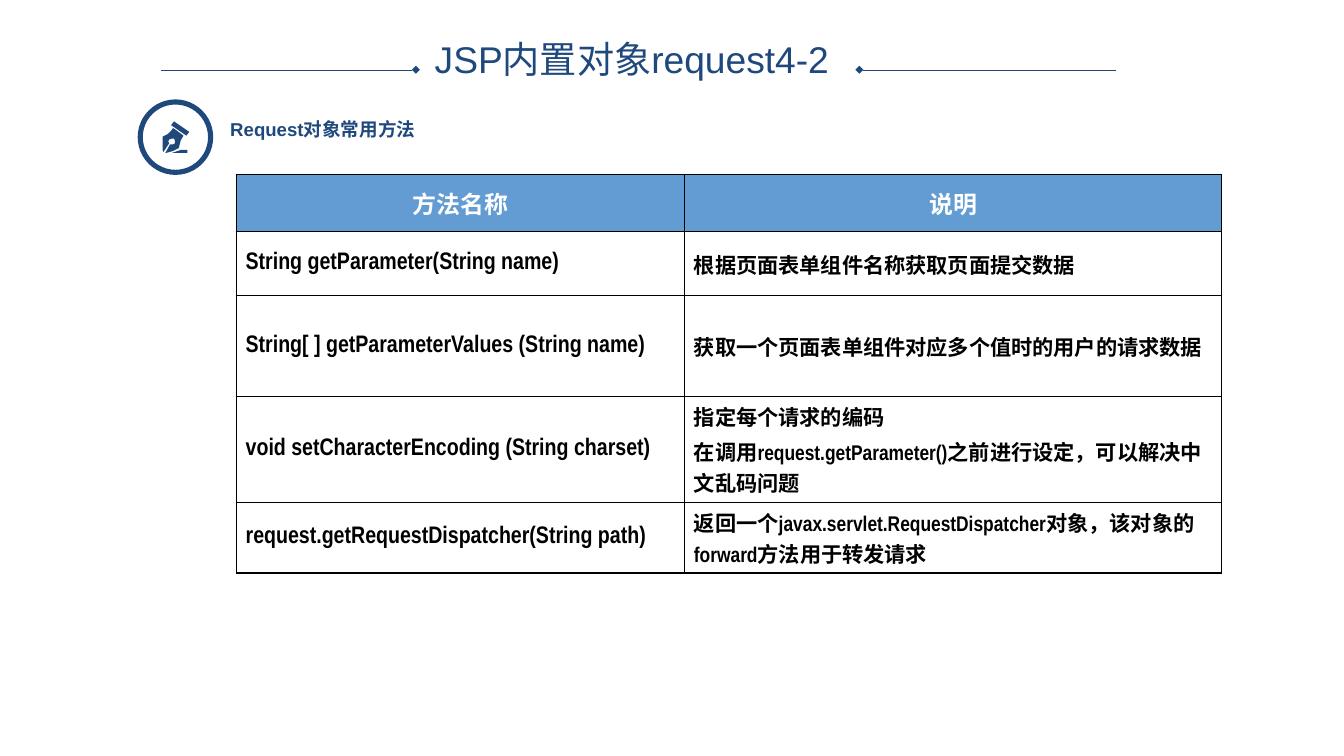
from pptx import Presentation
from pptx import util as u
from pptx.dml.color import RGBColor
from pptx.enum import shapes, text
from pptx.oxml.ns import qn
from lxml import etree

NAVY = RGBColor(0x1F, 0x49, 0x7D)
BLUE = RGBColor(0x63, 0x9C, 0xD3)
WHITE = RGBColor(0xFF, 0xFF, 0xFF)
BLACK = RGBColor(0, 0, 0)

COLUMN_WIDTHS = [4.69, 5.62]
ROW_HEIGHTS = [0.59, 0.67, 1.06, 1.06, 0.7]
METHODS = [
    ("方法名称", "说明"),
    ("String getParameter(String name)", "根据页面表单组件名称获取页面提交数据"),
    ("String[ ] getParameterValues (String name)",
     "获取一个页面表单组件对应多个值时的用户的请求数据"),
    ("void setCharacterEncoding (String charset)",
     "指定每个请求的编码\n在调用request.getParameter()之前进行设定，可以解决中文乱码问题"),
    ("request.getRequestDispatcher(String path)",
     "返回一个javax.servlet.RequestDispatcher对象，该对象的forward方法用于转发请求"),
]

# Pen icon outlines, in hundredths of an inch from the icon's corner
PEN_NIB = [(1, 32), (0, 30), (0, 16), (6, 13), (9, 10), (11, 7), (14, 9), (22, 15),
           (19, 20), (17, 28), (11, 31), (4, 33), (3, 33), (8, 24), (11, 24), (13, 23),
           (13, 20), (12, 18), (10, 17.5), (7, 19), (6, 21), (7, 23)]
PEN_STROKE = [(10, 33), (26, 33), (26, 30), (19, 30)]
PEN_CAP = [(25, 15), (28, 11), (12, 0), (9, 4)]


def style(font, size, color, name="Arial", bold=False):
    font.size, font.name, font.bold = u.Pt(size), name, bold
    font.color.rgb = color


def add_rule(page, start, end, top):
    rule = page.shapes.add_connector(
        shapes.MSO_CONNECTOR.STRAIGHT,
        u.Inches(start), u.Inches(top), u.Inches(end), u.Inches(top))
    rule.line.color.rgb = NAVY
    rule.line.width = u.Pt(0.25)
    etree.SubElement(rule.line._get_or_add_ln(), qn("a:headEnd"), type="diamond")
    etree.SubElement(rule._element.spPr, qn("a:effectLst"))


def add_heading(page, left, top, width, height):
    # Rules on both sides, with diamonds towards the title
    rule_top = top + 0.32
    add_rule(page, left + 0.86, left - 1.81, rule_top)
    add_rule(page, left + 5.5, left + 8.18, rule_top)

    title = page.shapes.title
    title.left, title.top = u.Inches(left), u.Inches(top)
    title.width, title.height = u.Inches(width), u.Inches(height)
    frame = title.text_frame
    frame.text = " JSP内置对象request4-2"
    frame.auto_size = text.MSO_AUTO_SIZE.NONE
    frame.vertical_anchor = text.MSO_ANCHOR.MIDDLE
    para = frame.paragraphs[0]
    para.alignment = text.PP_ALIGN.CENTER
    para.line_spacing = 0.9
    style(para.font, 28, NAVY)


def paint(shape):
    shape.shadow.inherit = False
    shape.fill.solid()
    shape.fill.fore_color.rgb = NAVY
    shape.line.fill.background()


def add_section_label(page, left, top, size):
    # Pen icon
    hundredth = u.Inches(0.01)
    builder = None
    for outline in (PEN_NIB, PEN_STROKE, PEN_CAP):
        if builder is None:
            builder = page.shapes.build_freeform(*outline[0], scale=hundredth)
        else:
            builder.move_to(*outline[0])
        builder.add_line_segments(outline[1:], close=True)
    paint(builder.convert_to_shape(u.Inches(left + 0.26), u.Inches(top + 0.23)))

    # Ring
    ring = page.shapes.add_shape(
        shapes.MSO_SHAPE.DONUT,
        u.Inches(left), u.Inches(top), u.Inches(size), u.Inches(size))
    ring.adjustments[0] = 0.068
    paint(ring)

    # Label
    label = page.shapes.add_textbox(
        u.Inches(left + size + 0.08), u.Inches(top + 0.1), u.Inches(2.15), u.Inches(0.36))
    frame = label.text_frame
    frame.word_wrap = True
    frame.text = "Request对象常用方法"
    para = frame.paragraphs[0]
    para.alignment = text.PP_ALIGN.JUSTIFY
    para.line_spacing = 1.2
    style(para.font, 14, NAVY, bold=True)


def add_borders(cell):
    properties = cell._tc.get_or_add_tcPr()
    for side in ("a:lnL", "a:lnR", "a:lnT", "a:lnB"):
        border = etree.SubElement(properties, qn(side), w=str(u.Pt(1)))
        fill = etree.SubElement(border, qn("a:solidFill"))
        etree.SubElement(fill, qn("a:srgbClr"), val=str(BLACK))


def fill_cell(cell, words, row, column):
    header = row == 0
    add_borders(cell)
    if header:
        cell.fill.solid()
        cell.fill.fore_color.rgb = BLUE
    else:
        cell.fill.background()
    cell.vertical_anchor = text.MSO_ANCHOR.MIDDLE
    cell.text = words
    size = 18 if header or column == 0 else 16
    for index, para in enumerate(cell.text_frame.paragraphs):
        if header:
            para.alignment = text.PP_ALIGN.CENTER
        if column == 1 and row in (1, 2):
            para.line_spacing = 1.05
        if index:
            para.space_before = u.Pt(0.2 * size)
        style(para.font, size, WHITE if header else BLACK, "Arial Narrow", True)


def add_method_table(page, left, top):
    table = page.shapes.add_table(
        len(METHODS), len(COLUMN_WIDTHS), u.Inches(left), u.Inches(top),
        u.Inches(sum(COLUMN_WIDTHS)), u.Inches(sum(ROW_HEIGHTS))).table
    table.horz_banding = False
    for column, width in zip(table.columns, COLUMN_WIDTHS):
        column.width = u.Inches(width)
    for row, height in zip(table.rows, ROW_HEIGHTS):
        row.height = u.Inches(height)
    for row, entries in enumerate(METHODS):
        for column, words in enumerate(entries):
            fill_cell(table.cell(row, column), words, row, column)


def main():
    deck = Presentation()
    deck.slide_width, deck.slide_height = u.Inches(14.06), u.Inches(7.91)
    page = deck.slides.add_slide(deck.slide_layouts[5])
    add_heading(page, 3.49, 0.41, 6.13, 0.47)
    add_method_table(page, 2.47, 1.83)
    add_section_label(page, 1.44, 1.04, 0.79)
    deck.save("out.pptx")


if __name__ == "__main__":
    main()
